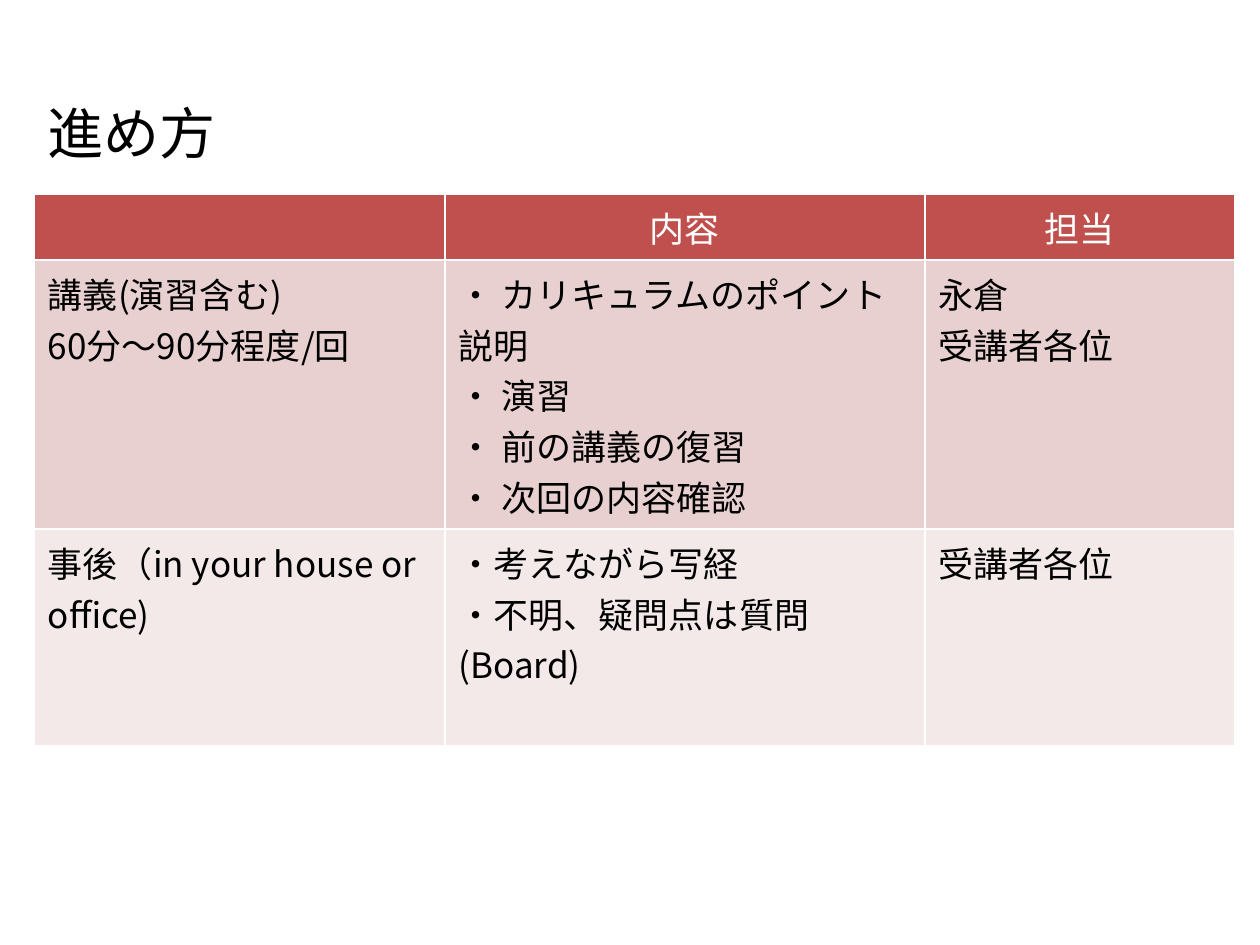
from lxml.etree import SubElement
from pptx import Presentation
from pptx.dml.color import RGBColor
from pptx.enum.text import MSO_ANCHOR, PP_ALIGN
from pptx.oxml.ns import qn
from pptx.util import Inches, Pt

# Content
TITLE = "進め方"
ROWS = [
    [[], ["内容"], ["担当"]],
    [
        ["講義(演習含む)", "60分～90分程度/回"],
        ["・ カリキュラムのポイント説明", "・ 演習", "・ 前の講義の復習", "・ 次回の内容確認"],
        ["永倉", "受講者各位"],
    ],
    [
        ["事後（in your house or office)"],
        ["・考えながら写経", "・不明、疑問点は質問(Board)"],
        ["受講者各位"],
    ],
]

# Format
FONT = "Noto Sans CJK JP"
COLORS = {"text": "000000", "white": "FFFFFF", "header": "C0504D"}
ROW_FILLS = [COLORS["header"], "E8D0D0", "F4E9E9"]
COLUMN_WIDTHS = [3.26, 3.81, 2.46]
ROW_HEIGHTS = [0.51, 2.13, 1.72]
TITLE_BOX = {"left": 0.28, "top": 0.73, "width": 7, "height": 0.8}
CELL_MARGINS = {"margin_left": 0.11, "margin_right": 0.11,
                "margin_top": 0.06, "margin_bottom": 0.06}


def write(frame, lines, size, color, align):
    """Fill a text frame with one paragraph per line."""
    for index, line in enumerate(lines):
        para = frame.paragraphs[0] if index == 0 else frame.add_paragraph()
        para.alignment = align
        span = para.add_run()
        span.text = line
        for name, value in {"size": Pt(size), "name": FONT, "bold": False}.items():
            setattr(span.font, name, value)
        span.font.color.rgb = RGBColor.from_string(color)
        SubElement(span.font._element, qn("a:ea"), typeface=FONT)


def add_borders(cell):
    """Draw a white one-point line on each side of a cell."""
    properties = cell._tc.get_or_add_tcPr()
    for side in "LRTB":
        line = SubElement(properties, qn(f"a:ln{side}"), w=str(Pt(1)))
        fill = SubElement(line, qn("a:solidFill"))
        SubElement(fill, qn("a:srgbClr"), val=COLORS["white"])


deck = Presentation()
deck.slide_width, deck.slide_height = Inches(10), Inches(7.5)
page = deck.slides.add_slide(deck.slide_layouts[5])

# Title
title = page.shapes.title
for name, value in TITLE_BOX.items():
    setattr(title, name, Inches(value))
title.text_frame.vertical_anchor = MSO_ANCHOR.TOP
write(title.text_frame, [TITLE], 32, COLORS["text"], PP_ALIGN.LEFT)

# Table
table = page.shapes.add_table(
    len(ROWS), len(COLUMN_WIDTHS), Inches(0.27), Inches(1.54),
    Inches(sum(COLUMN_WIDTHS)), Inches(sum(ROW_HEIGHTS))).table
for column, width in zip(table.columns, COLUMN_WIDTHS):
    column.width = Inches(width)

for row_index, (row, height, fill) in enumerate(zip(ROWS, ROW_HEIGHTS, ROW_FILLS)):
    table.rows[row_index].height = Inches(height)
    is_header = row_index == 0
    color = COLORS["white" if is_header else "text"]
    align = PP_ALIGN.CENTER if is_header else PP_ALIGN.LEFT
    for column_index, lines in enumerate(row):
        cell = table.cell(row_index, column_index)
        for name, value in CELL_MARGINS.items():
            setattr(cell, name, Inches(value))
        add_borders(cell)
        cell.fill.solid()
        cell.fill.fore_color.rgb = RGBColor.from_string(fill)
        write(cell.text_frame, lines, 20, color, align)

deck.save("out.pptx")
